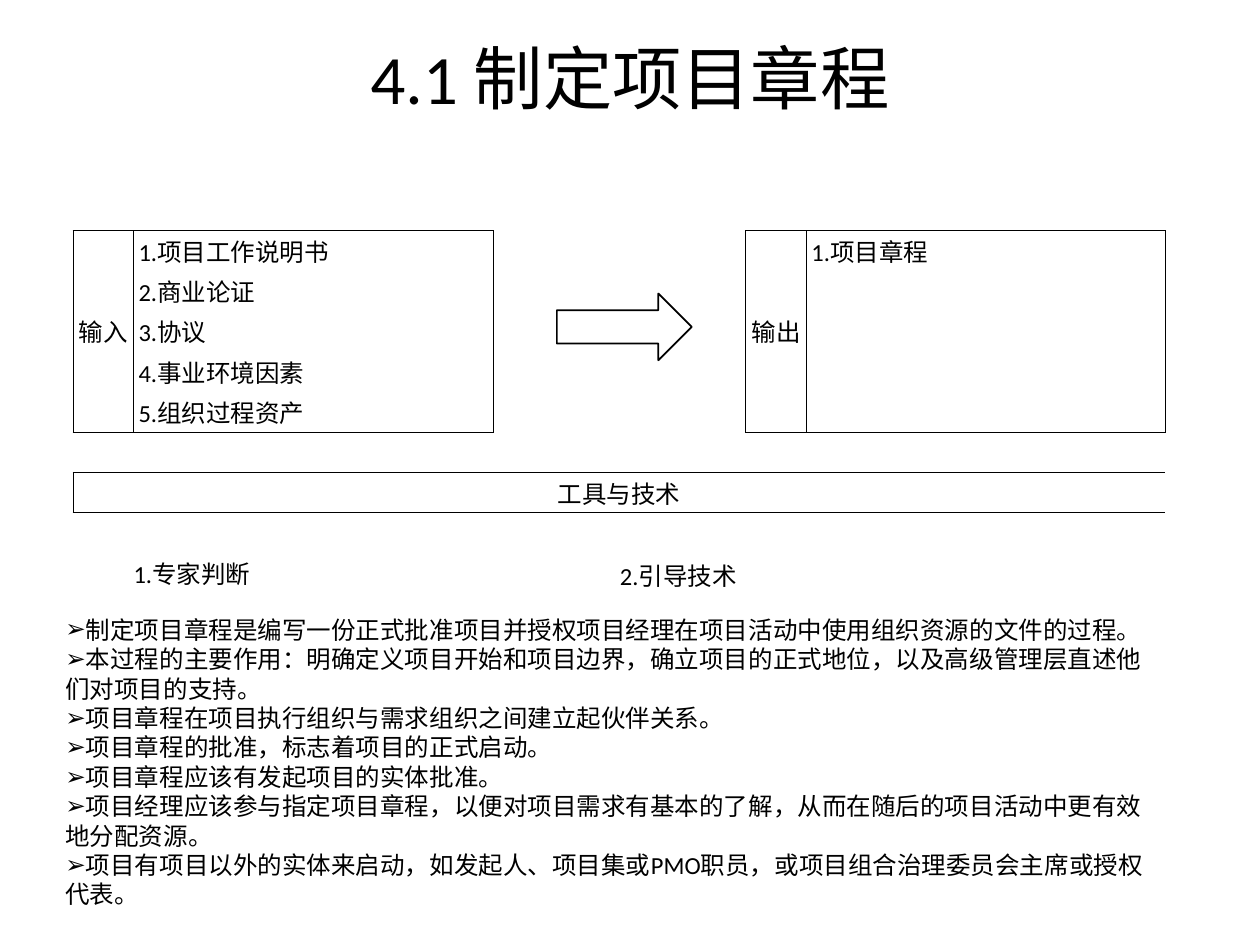
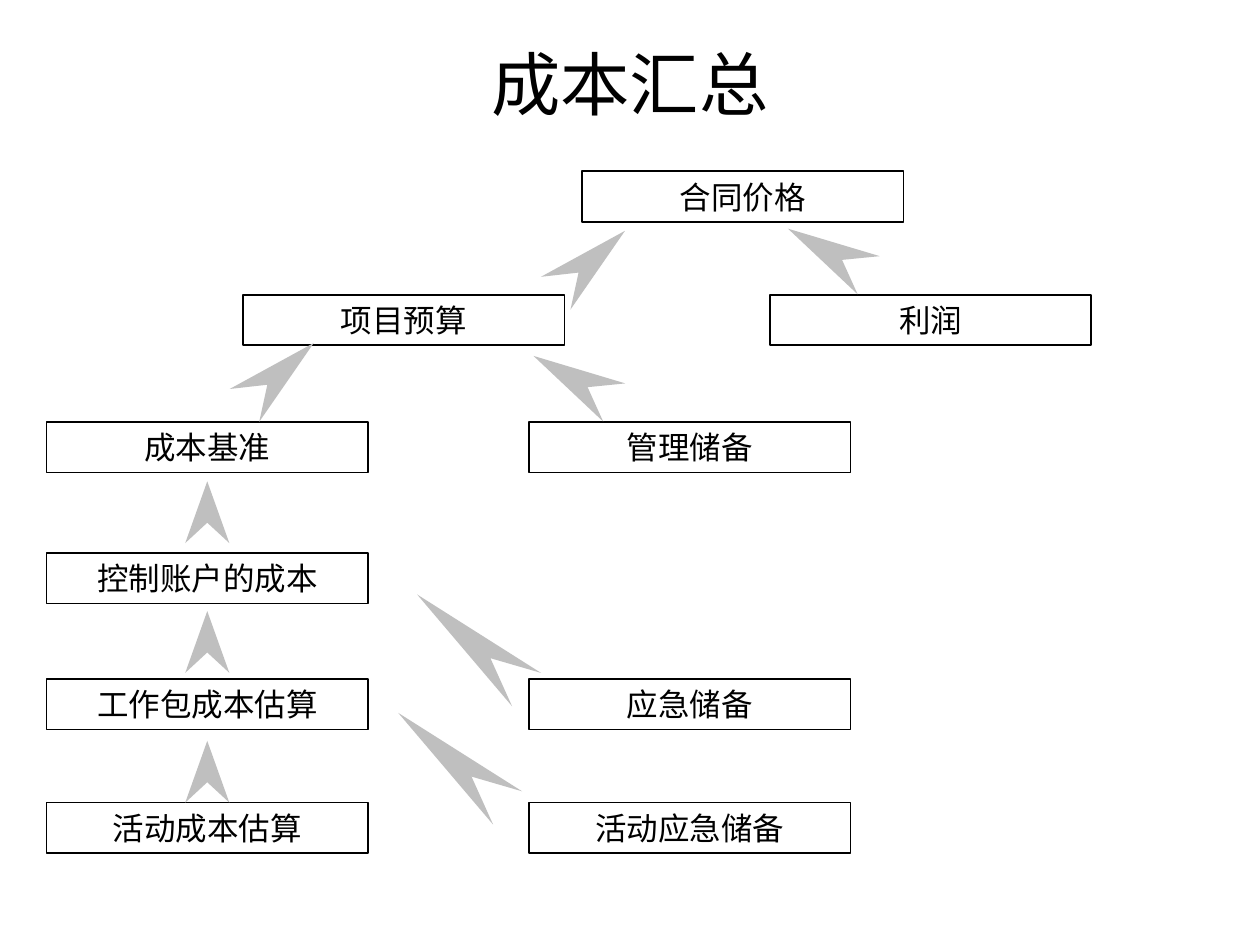
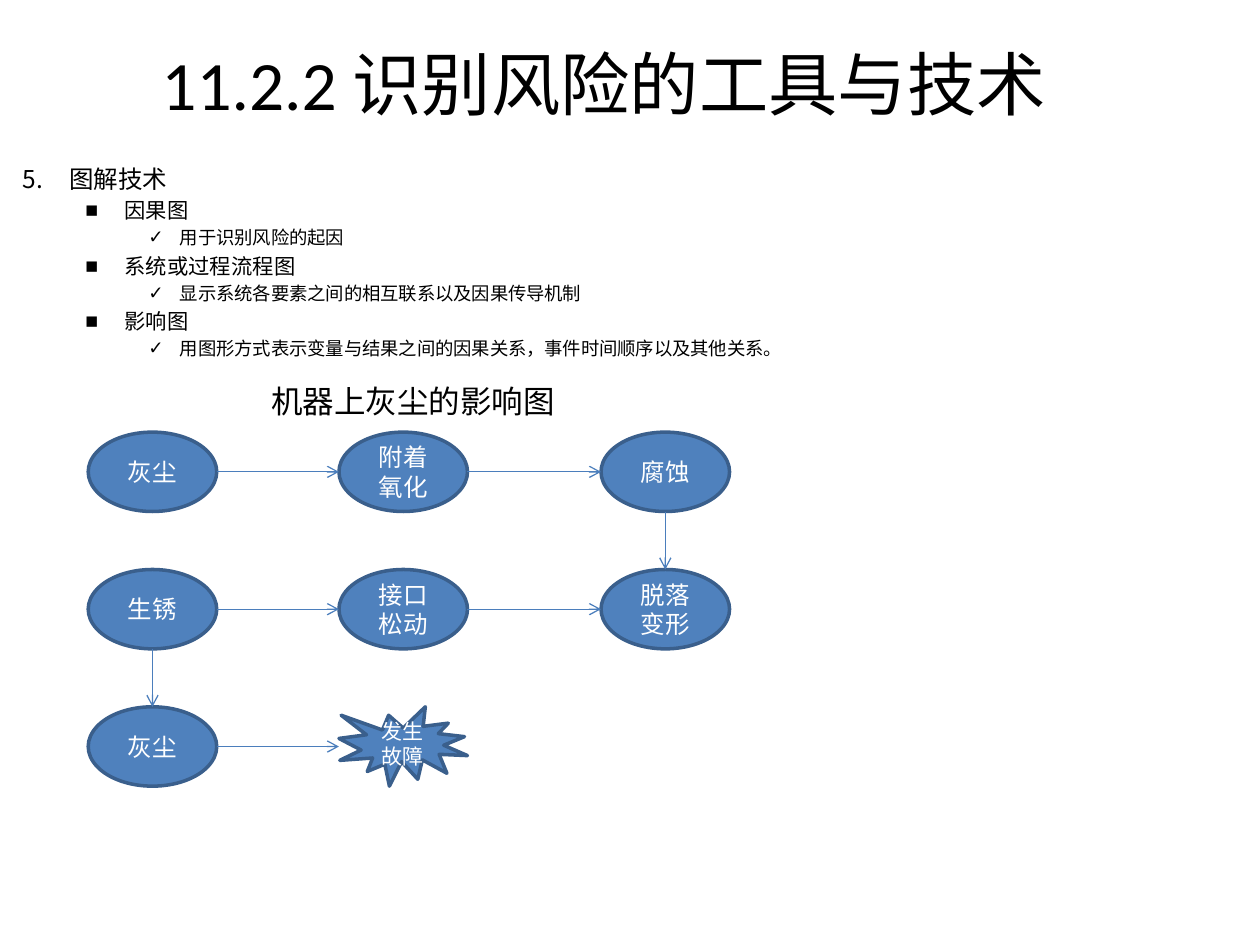
from dataclasses import dataclass
from itertools import product

from lxml import etree
from pptx import Presentation
from pptx.dml.color import RGBColor
from pptx.enum.shapes import MSO_CONNECTOR, MSO_SHAPE
from pptx.enum.text import MSO_ANCHOR, PP_ALIGN
from pptx.oxml.ns import qn
from pptx.util import Inches, Pt

LEFT, CENTER = PP_ALIGN.LEFT, PP_ALIGN.CENTER
TOP, MIDDLE, BOTTOM = MSO_ANCHOR.TOP, MSO_ANCHOR.MIDDLE, MSO_ANCHOR.BOTTOM
RECT, OVAL = MSO_SHAPE.RECTANGLE, MSO_SHAPE.FLOWCHART_CONNECTOR
ARROW, BURST = MSO_SHAPE.RIGHT_ARROW, MSO_SHAPE.EXPLOSION1
STRAIGHT = MSO_CONNECTOR.STRAIGHT


@dataclass(frozen=True)
class Theme:
    font: str = "Calibri"
    ink: str = "000000"
    paper: str = "FFFFFF"
    dart: str = "BFBFBF"
    node: str = "4F81BD"
    node_edge: str = "3A5F8C"
    link: str = "4B7EBC"
    title: float = 39.6
    label: float = 18
    body: float = 14
    level2: float = 12.2
    burst: float = 12
    level3: float = 10.5


THEME = Theme()


def add_child(parent, tag, **attributes):
    return etree.SubElement(parent, qn(tag), attributes)


def write(frame, text, size=THEME.body, color=THEME.ink, align=LEFT, anchor=TOP,
          bullet=None, number=None, margin=0, indent=0, before=0):
    frame.word_wrap = True
    frame.vertical_anchor = anchor
    paragraph = frame.paragraphs[0]
    if paragraph.runs:
        paragraph = frame.add_paragraph()
    paragraph.alignment = align
    paragraph.space_before = Pt(before)
    properties = paragraph._p.get_or_add_pPr()
    properties.set("marL", str(Inches(margin)))
    properties.set("indent", str(Inches(indent)))
    if bullet:
        add_child(properties, "a:buFont", typeface="Arial")
        add_child(properties, "a:buChar", char=bullet)
    if number:
        add_child(properties, "a:buAutoNum", type="arabicPeriod", startAt=str(number))
    run = paragraph.add_run()
    run.text = text
    run.font.name = THEME.font
    run.font.size = Pt(size)
    run.font.color.rgb = RGBColor.from_string(color)


class Deck:
    def __init__(self, theme):
        self.theme = theme
        self.presentation = Presentation()
        self.presentation.slide_width = Inches(10)
        self.presentation.slide_height = Inches(7.5)
        self.slide = None

    def new_slide(self, title, left=0.5, width=9, height=0.72):
        self.slide = self.presentation.slides.add_slide(self.presentation.slide_layouts[6])
        frame = self.text_box(left, 0.3, width, height)
        write(frame, title, size=self.theme.title, align=CENTER, anchor=MIDDLE)

    def text_box(self, *box):
        return self.slide.shapes.add_textbox(*map(Inches, box)).text_frame

    def paint(self, shape, fill=None, line=None, weight=1):
        shape.shadow.inherit = False
        for part, color in ((shape.fill, fill), (shape.line.fill, line)):
            if color:
                part.solid()
                part.fore_color.rgb = RGBColor.from_string(color)
            else:
                part.background()
        if line:
            shape.line.width = Pt(weight)

    def shape(self, kind, box, text="", size=THEME.label, color=THEME.ink, **paint):
        shape = self.slide.shapes.add_shape(kind, *map(Inches, box))
        self.paint(shape, **paint)
        if text:
            write(shape.text_frame, text, size=size, color=color, align=CENTER, anchor=MIDDLE)

    def dart(self, left, top, height, rotation=0):
        width = 0.35
        middle = left + width / 2
        outline = [(left + width, top + height), (middle, top + height * 0.67),
                   (left, top + height)]
        builder = self.slide.shapes.build_freeform(Inches(middle), Inches(top))
        builder.add_line_segments([(Inches(x), Inches(y)) for x, y in outline])
        dart = builder.convert_to_shape()
        dart.rotation = rotation
        self.paint(dart, fill=self.theme.dart)

    def link(self, start, end):
        link = self.slide.shapes.add_connector(STRAIGHT, *map(Inches, start + end))
        link.line.color.rgb = RGBColor.from_string(self.theme.link)
        link.line.width = Pt(0.75)
        properties = link.element.spPr
        add_child(properties.find(qn("a:ln")), "a:tailEnd", type="arrow")
        add_child(properties, "a:effectLst")

    def table(self, left, top, widths, row_height, row_count):
        height = row_height * row_count
        table = self.slide.shapes.add_table(
            row_count, len(widths), *map(Inches, (left, top, sum(widths), height))).table
        table.first_row = table.horz_banding = False
        for column, width in zip(table.columns, widths):
            column.width = Inches(width)
        for row in table.rows:
            row.height = Inches(row_height)
        return table

    def frame_cells(self, table, blocks):
        edges = set()
        for top, left, bottom, right in blocks:
            for row in range(top, bottom + 1):
                edges |= {("v", row, left), ("v", row, right + 1)}
            for column in range(left, right + 1):
                edges |= {("h", top, column), ("h", bottom + 1, column)}
        for row, column in product(range(len(table.rows)), range(len(table.columns))):
            cell = table.cell(row, column)
            cell.margin_left = cell.margin_right = cell.margin_top = cell.margin_bottom = 0
            sides = {"a:lnL": ("v", row, column), "a:lnR": ("v", row, column + 1),
                     "a:lnT": ("h", row, column), "a:lnB": ("h", row + 1, column)}
            for tag, edge in sides.items():
                line = add_child(cell._tc.get_or_add_tcPr(), tag, w=str(Pt(0.5)))
                if edge in edges:
                    add_child(add_child(line, "a:solidFill"), "a:srgbClr", val=self.theme.ink)
                else:
                    add_child(line, "a:noFill")
            cell.fill.background()

    def fill_cell(self, cell, text, align=LEFT, anchor=MIDDLE, inset=0):
        write(cell.text_frame, text, align=align)
        cell.vertical_anchor = anchor
        cell.margin_left = Inches(inset)


def build_charter(deck):
    deck.new_slide("4.1 制定项目章程", height=0.62)
    table = deck.table(0.58, 1.83, [0.48, 2.86, 1, 1, 0.48, 2.85], 0.32, 9)
    deck.frame_cells(table, [(0, 0, 4, 0), (0, 1, 4, 1), (0, 4, 4, 4), (0, 5, 4, 5),
                             (6, 0, 6, 5)])
    lists = {0: ("输入", ["项目工作说明书", "商业论证", "协议", "事业环境因素", "组织过程资产"]),
             4: ("输出", ["项目章程"])}
    for column, (heading, items) in lists.items():
        table.cell(0, column).merge(table.cell(4, column))
        deck.fill_cell(table.cell(0, column), heading, align=CENTER)
        for row, item in enumerate(items):
            deck.fill_cell(table.cell(row, column + 1), f"{row + 1}.{item}", inset=0.04)
    table.cell(6, 0).merge(table.cell(6, 5))
    deck.fill_cell(table.cell(6, 0), "工具与技术", align=CENTER)
    deck.fill_cell(table.cell(8, 1), "1.专家判断")
    table.cell(8, 3).merge(table.cell(8, 4))
    deck.fill_cell(table.cell(8, 3), "2.引导技术", anchor=BOTTOM)
    deck.shape(ARROW, (4.42, 2.33, 1.07, 0.53), fill=THEME.paper, line=THEME.ink)
    notes = deck.text_box(0.42, 4.83, 8.92, 2.46)
    for point in (
        "制定项目章程是编写一份正式批准项目并授权项目经理在项目活动中使用组织资源的文件的过程。",
        "本过程的主要作用：明确定义项目开始和项目边界，确立项目的正式地位，以及高级管理层直述他们对项目的支持。",
        "项目章程在项目执行组织与需求组织之间建立起伙伴关系。",
        "项目章程的批准，标志着项目的正式启动。",
        "项目章程应该有发起项目的实体批准。",
        "项目经理应该参与指定项目章程，以便对项目需求有基本的了解，从而在随后的项目活动中更有效地分配资源。",
        "项目有项目以外的实体来启动，如发起人、项目集或PMO职员，或项目组合治理委员会主席或授权代表。",
    ):
        write(notes, point, bullet="➢")


def build_costs(deck):
    deck.new_slide("成本汇总")
    costs = [
        ("合同价格", 4.62, 1.36), ("项目预算", 1.93, 2.34), ("利润", 6.11, 2.34),
        ("成本基准", 0.37, 3.35), ("管理储备", 4.2, 3.35), ("控制账户的成本", 0.37, 4.39),
        ("工作包成本估算", 0.37, 5.39), ("应急储备", 4.2, 5.39),
        ("活动成本估算", 0.37, 6.37), ("活动应急储备", 4.2, 6.37),
    ]
    for cost, left, top in costs:
        deck.shape(RECT, (left, top, 2.55, 0.4), cost, line=THEME.ink)
    for top in (5.88, 4.85, 3.82):
        deck.dart(1.47, top, 0.49)
    for left, top in ((3.42, 5.46), (3.57, 4.52)):
        deck.dart(left, top, 1.15, rotation=311)
    for left, top in ((2.04, 2.6), (4.51, 1.71)):
        deck.dart(left, top, 0.74, rotation=48)
    for left, top in ((4.38, 2.64), (6.4, 1.63)):
        deck.dart(left, top, 0.74, rotation=300)


def build_risks(deck):
    deck.new_slide("11.2.2 识别风险的工具与技术", left=0.08, width=9.42, height=0.71)
    outline = deck.text_box(0.08, 1.25, 9, 6.13)
    write(outline, "图解技术", number=5, margin=0.37, indent=-0.37, before=2.8)
    for technique, purpose in (
        ("因果图", "用于识别风险的起因"),
        ("系统或过程流程图", "显示系统各要素之间的相互联系以及因果传导机制"),
        ("影响图", "用图形方式表示变量与结果之间的因果关系，事件时间顺序以及其他关系。"),
    ):
        write(outline, technique, size=THEME.level2, bullet="■", margin=0.81, indent=-0.31,
              before=2.4)
        write(outline, purpose, size=THEME.level3, bullet="✓", margin=1.25, indent=-0.25,
              before=2.1)
    write(deck.text_box(1.28, 2.98, 4, 0.4), "机器上灰尘的影响图", size=THEME.label, align=CENTER)

    width, height = 1.02, 0.63
    lefts, tops = (0.7, 2.69, 4.77), (3.43, 4.52, 5.61)
    effects = [["灰尘", "附着氧化", "腐蚀"], ["生锈", "接口松动", "脱落变形"], ["灰尘", "发生故障"]]
    for row, names in enumerate(effects):
        for column, name in enumerate(names):
            failure = name == "发生故障"
            deck.shape(BURST if failure else OVAL, (lefts[column], tops[row], width, height),
                       name, size=THEME.burst if failure else THEME.body, color=THEME.paper,
                       fill=THEME.node, line=THEME.node_edge, weight=2)
            if column:
                middle = tops[row] + height / 2
                deck.link((lefts[column - 1] + width, middle), (lefts[column], middle))
    for column, row in ((2, 0), (0, 1)):
        center = lefts[column] + width / 2
        deck.link((center, tops[row] + height), (center, tops[row + 1]))


def main():
    deck = Deck(THEME)
    build_charter(deck)
    build_costs(deck)
    build_risks(deck)
    deck.presentation.save("out.pptx")


if __name__ == "__main__":
    main()
